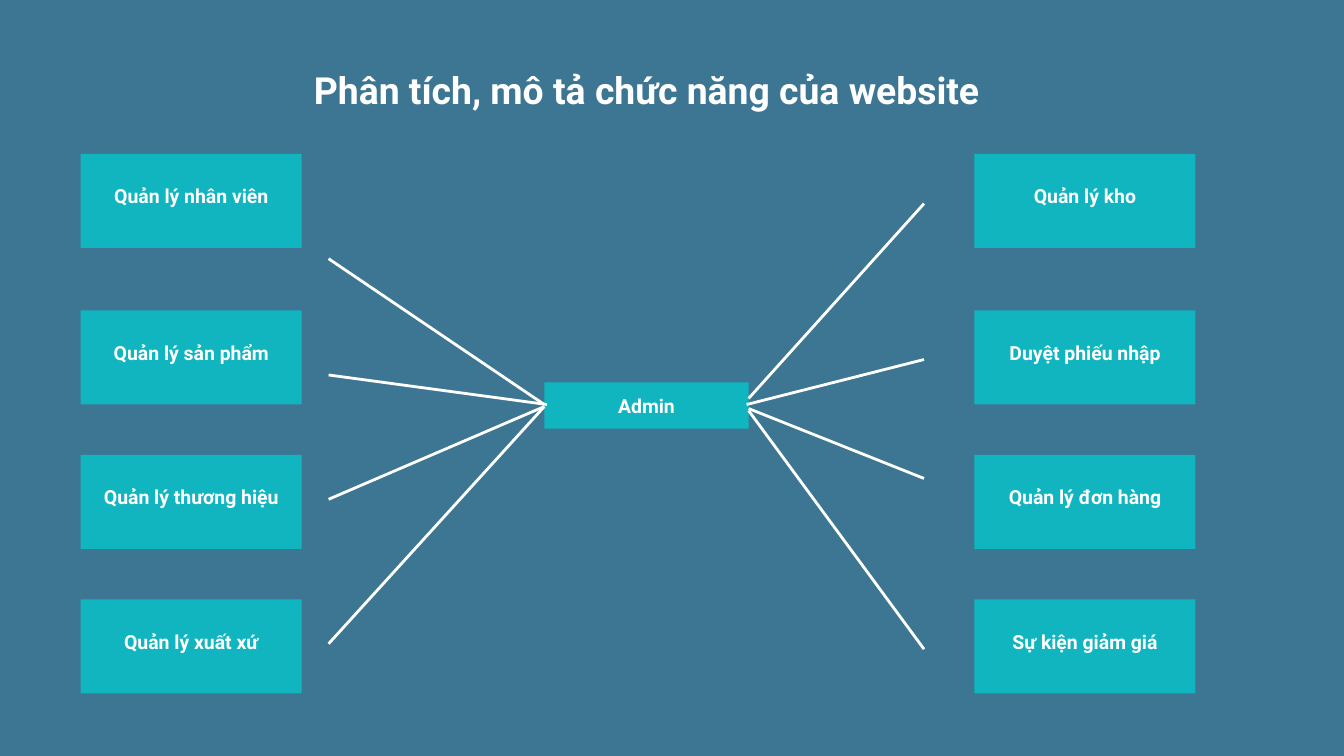
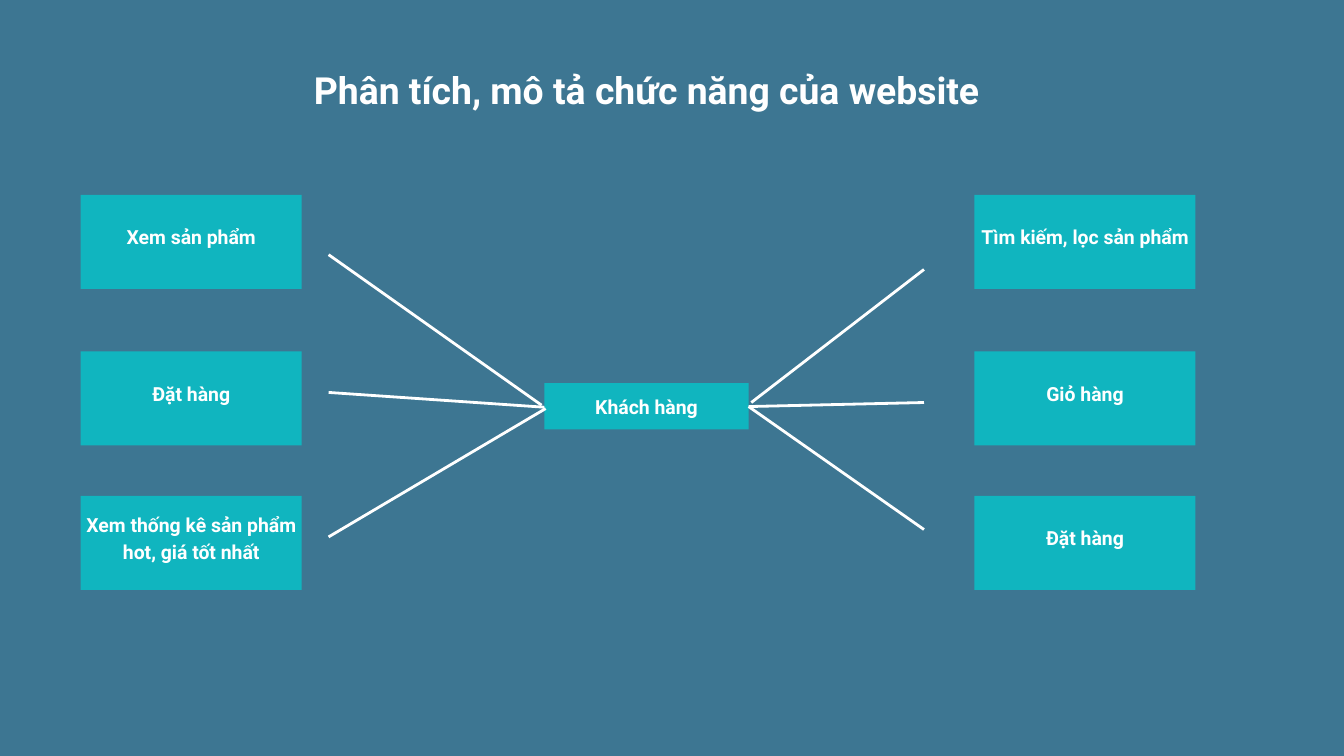
from lxml import etree
from pptx import Presentation
from pptx.dml.color import RGBColor
from pptx.enum.shapes import MSO_CONNECTOR, MSO_SHAPE
from pptx.enum.text import MSO_ANCHOR, PP_ALIGN
from pptx.oxml.ns import qn
from pptx.util import Inches, Pt

RECT = MSO_SHAPE.RECTANGLE
STRAIGHT = MSO_CONNECTOR.STRAIGHT
MIDDLE = MSO_ANCHOR.MIDDLE
CENTER, LEFT = PP_ALIGN.CENTER, PP_ALIGN.LEFT

BLUE = RGBColor(0x3D, 0x76, 0x92)
TEAL = RGBColor(0x10, 0xB5, 0xBF)
WHITE = RGBColor(0xFF, 0xFF, 0xFF)
FONT = "Roboto"

TITLE = "Phân tích, mô tả chức năng của website"

# Each task: label, outer end of its line (y), hub end of its line (x, y)
SLIDES = [
    {
        "hub": "Admin", "hub_top": 5.69, "top": 2.29,
        "left": [
            ("Quản lý nhân viên", 3.85, (8.1, 6.02)),
            ("Quản lý sản phẩm", 5.58, (8.14, 6.02)),
            ("Quản lý thương hiệu", 7.43, (8.1, 6.05)),
            ("Quản lý xuất xứ", 9.58, (8.1, 6.05)),
        ],
        "right": [
            ("Quản lý kho", 3.03, (11.14, 5.93)),
            ("Duyệt phiếu nhập", 5.35, (11.11, 6.02)),
            ("Quản lý đơn hàng", 7.12, (11.14, 6.08)),
            ("Sự kiện giảm giá", 9.66, (11.14, 6.11)),
        ],
    },
    {
        "hub": "Khách hàng", "hub_top": 5.7, "top": 2.9,
        "left": [
            ("Xem sản phẩm", 3.79, (8.06, 6.03)),
            ("Đặt hàng", 5.84, (8.1, 6.06)),
            ("Xem thống kê sản phẩm hot, giá tốt nhất", 7.99, (8.12, 6.08)),
        ],
        "right": [
            ("Tìm kiếm, lọc sản phẩm", 4.01, (11.18, 5.99)),
            ("Giỏ hàng", 5.99, (11.14, 6.05)),
            ("Đặt hàng", 7.88, (11.14, 6.05)),
        ],
    },
]

# Box left edge and outer line end (x) of each column
COLUMNS = {"left": (1.2, 4.89), "right": (14.5, 13.75)}
ROWS = (0, 2.33, 4.48, 6.63)
BOX_W, BOX_H = 3.29, 1.4
HUB_X, HUB_W, HUB_H = 8.1, 3.04, 0.69


def write(shape, text, size, leading, align, insets=(0, 0, 0, 0)):
    """Fill a shape with bold white text; insets are left, top, right, bottom."""
    frame = shape.text_frame
    frame.word_wrap = True
    (frame.margin_left, frame.margin_top,
     frame.margin_right, frame.margin_bottom) = map(Inches, insets)
    para = frame.paragraphs[0]
    para.text = text
    para.alignment = align
    para.line_spacing = Pt(leading)
    font = para.font
    font.name, font.size, font.bold = FONT, Pt(size), True
    font.color.rgb = WHITE


def add_box(slide, text, area, insets):
    box = slide.shapes.add_shape(RECT, *map(Inches, area))
    box.shadow.inherit = False
    box.fill.solid()
    box.fill.fore_color.rgb = TEAL
    box.line.fill.background()
    box.text_frame.vertical_anchor = MIDDLE
    write(box, text, 20.8, 29, CENTER, insets)


def add_line(slide, start, end):
    line = slide.shapes.add_connector(STRAIGHT, *map(Inches, start + end))
    line.line.color.rgb = WHITE
    line.line.width = Pt(3)
    etree.SubElement(line._element.spPr, qn("a:effectLst"))


def add_map(deck, data):
    """Add a slide with a hub in the middle and its tasks on both sides."""
    slide = deck.slides.add_slide(deck.slide_layouts[6])
    fill = slide.background.fill
    fill.solid()
    fill.fore_color.rgb = BLUE

    title = slide.shapes.add_textbox(*map(Inches, (4.67, 1, 10.65, 0.66)))
    write(title, TITLE, 40, 48, LEFT)

    hub = (HUB_X, data["hub_top"], HUB_W, HUB_H)
    add_box(slide, data["hub"], hub, (0, 0, 0, 0.05))
    for side, (x, line_x) in COLUMNS.items():
        for row, (text, line_y, hub_end) in zip(ROWS, data[side]):
            area = (x, data["top"] + row, BOX_W, BOX_H)
            add_box(slide, text, area, (0.06, 0.06, 0.06, 0.26))
            add_line(slide, (line_x, line_y), hub_end)


def main():
    deck = Presentation()
    deck.slide_width, deck.slide_height = Inches(20), Inches(11.25)
    for data in SLIDES:
        add_map(deck, data)
    deck.save("out.pptx")


if __name__ == "__main__":
    main()
